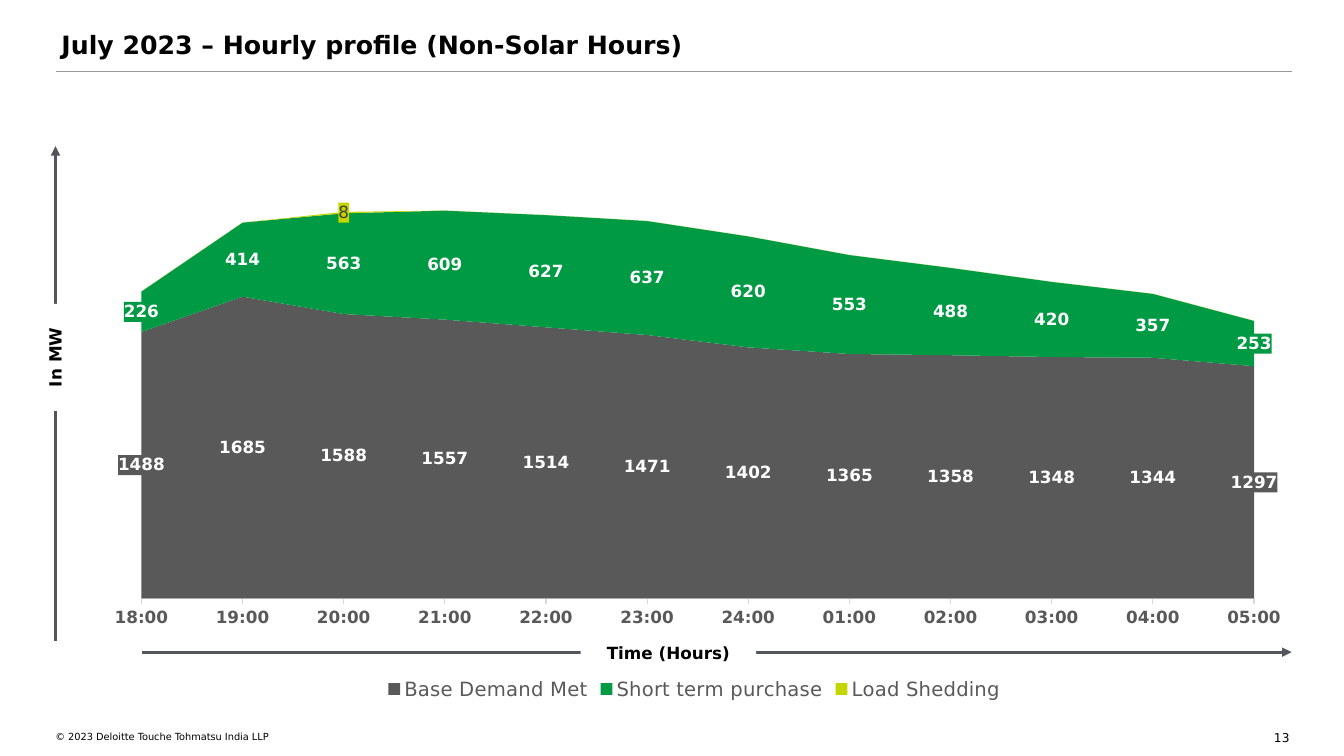
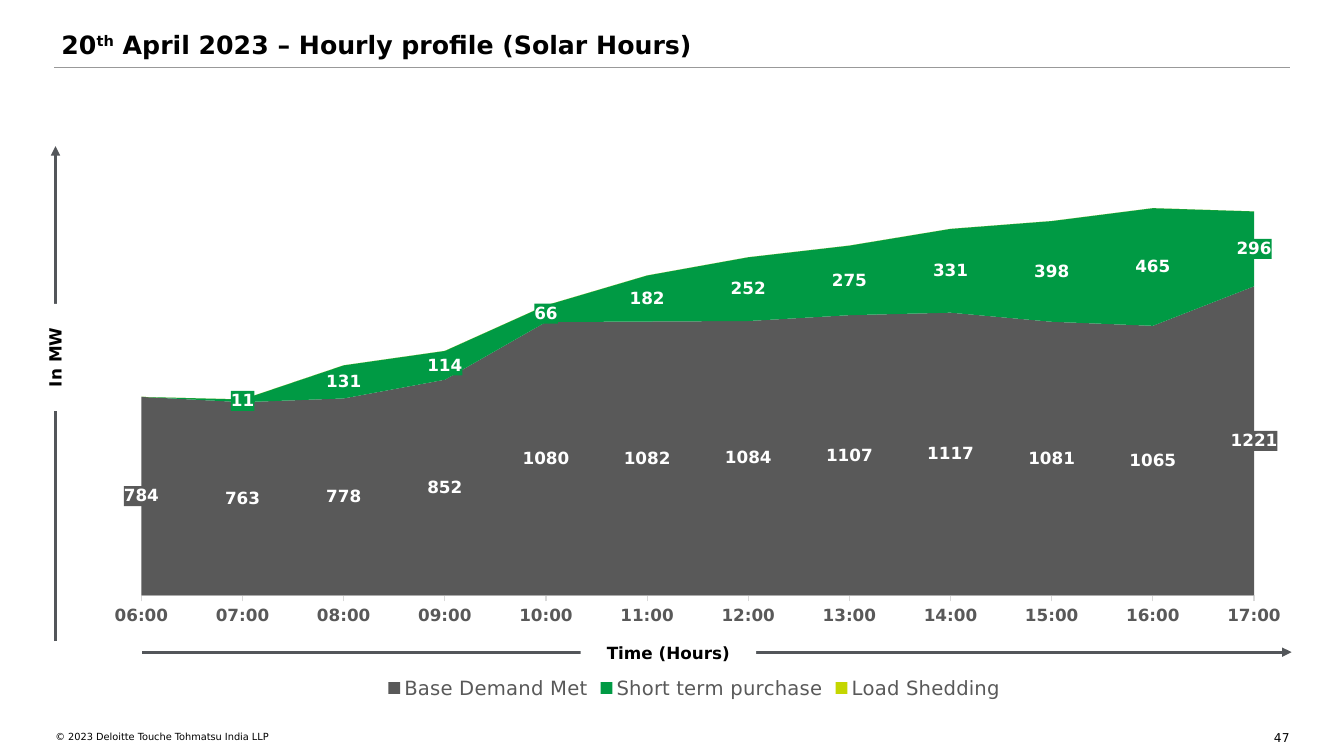
from lxml import etree
from pptx import Presentation
from pptx.chart.data import CategoryChartData
from pptx.dml.color import RGBColor
from pptx.enum.chart import XL_CHART_TYPE, XL_LEGEND_POSITION, XL_TICK_MARK
from pptx.enum.shapes import MSO_CONNECTOR, MSO_SHAPE
from pptx.enum.text import MSO_ANCHOR, PP_ALIGN
from pptx.oxml.ns import qn
from pptx.util import Inches, Pt

AREA = XL_CHART_TYPE.AREA_STACKED
BOTTOM = XL_LEGEND_POSITION.BOTTOM
OUT, NONE = XL_TICK_MARK.OUTSIDE, XL_TICK_MARK.NONE
STRAIGHT, RECT = MSO_CONNECTOR.STRAIGHT, MSO_SHAPE.RECTANGLE
LEFT, CENTER, RIGHT = PP_ALIGN.LEFT, PP_ALIGN.CENTER, PP_ALIGN.RIGHT
TOP, MIDDLE = MSO_ANCHOR.TOP, MSO_ANCHOR.MIDDLE

FONT = "DejaVu Sans"
COLORS = {
    "text": "000000", "white": "FFFFFF", "rule": "999999", "arrow": "53565A",
    "axis": "D9D9D9", "base": "595959", "short": "009A44", "shed": "C4D600",
    "dark": "404040",
}
FOOTER = "© 2023 Deloitte Touche Tohmatsu India LLP"
# name, fill, label colour, label bold
SERIES = [
    ("Base Demand Met", "base", "white", True),
    ("Short term purchase", "short", "white", True),
    ("Load Shedding", "shed", "dark", False),
]
PLOT = {"x": 0.035, "y": 0.098, "w": 0.936, "h": 0.729}
# title runs: text, superscript; rule: left, top; chart: top, height
SLIDES = [
    {
        "title": [("July 2023 – Hourly profile (Non-Solar Hours)", False)],
        "page": "13", "rule": (0.56, 0.71), "chart": (0.9, 6.09), "max": 2500,
        "hours": ["18:00", "19:00", "20:00", "21:00", "22:00", "23:00",
                  "24:00", "01:00", "02:00", "03:00", "04:00", "05:00"],
        "values": [
            [1488, 1685, 1588, 1557, 1514, 1471, 1402, 1365, 1358, 1348, 1344, 1297],
            [226, 414, 563, 609, 627, 637, 620, 553, 488, 420, 357, 253],
            [0, 0, 8, 0, 0, 0, 0, 0, 0, 0, 0, 0],
        ],
    },
    {
        "title": [("20", False), ("th", True),
                  (" April 2023 – Hourly profile (Solar Hours)", False)],
        "page": "47", "rule": (0.54, 0.67), "chart": (0.78, 6.2), "max": 1800,
        "hours": [f"{hour:02}:00" for hour in range(6, 18)],
        "values": [
            [784, 763, 778, 852, 1080, 1082, 1084, 1107, 1117, 1081, 1065, 1221],
            [0, 11, 131, 114, 66, 182, 252, 275, 331, 398, 465, 296],
            [0] * 12,
        ],
    },
]


def rgb(name):
    return RGBColor.from_string(COLORS[name])


def style(font, size, color="text", bold=False):
    font.name, font.size, font.bold = FONT, Pt(size), bold
    font.color.rgb = rgb(color)


def add_text(slide, box, runs, size, bold=False, align=LEFT):
    shape = slide.shapes.add_textbox(*map(Inches, box))
    frame = shape.text_frame
    frame.word_wrap = True
    frame.vertical_anchor = TOP
    frame.margin_left = frame.margin_right = 0
    frame.margin_top = frame.margin_bottom = 0
    para = frame.paragraphs[0]
    para.alignment = align
    for text, raised in runs:
        run = para.add_run()
        run.text = text
        style(run.font, size, bold=bold)
        if raised:
            run._r.get_or_add_rPr().set("baseline", "30000")


def add_line(slide, start, end, color, width, arrow=False):
    line = slide.shapes.add_connector(STRAIGHT, *map(Inches, start + end))
    line.line.color.rgb = rgb(color)
    line.line.width = Pt(width)
    if arrow:
        etree.SubElement(line.line._get_or_add_ln(), qn("a:tailEnd"), type="triangle")
    etree.SubElement(line._element.spPr, qn("a:effectLst"))


def add_label(slide, box, text, turn=0):
    """Axis name on a white box that breaks the arrow behind it."""
    shape = slide.shapes.add_shape(RECT, *map(Inches, box))
    shape.rotation = turn
    shape.shadow.inherit = False
    shape.fill.solid()
    shape.fill.fore_color.rgb = rgb("white")
    shape.line.fill.background()
    frame = shape.text_frame
    frame.word_wrap = True
    frame.vertical_anchor = MIDDLE
    frame.margin_left = frame.margin_right = Inches(0.1)
    frame.margin_top = frame.margin_bottom = Inches(0.1)
    para = frame.paragraphs[0]
    para.text = text
    para.alignment = CENTER
    para.line_spacing = 1.06
    style(para.runs[0].font, 12, bold=True)


def place_plot(chart):
    area = chart._chartSpace.chart.plotArea
    for old in area.findall(qn("c:layout")):
        area.remove(old)
    layout = etree.Element(qn("c:layout"))
    area.insert(0, layout)
    manual = etree.SubElement(layout, qn("c:manualLayout"))
    parts = [("layoutTarget", "inner"), ("xMode", "edge"), ("yMode", "edge")]
    for tag, val in parts + list(PLOT.items()):
        etree.SubElement(manual, qn(f"c:{tag}"), val=str(val))


def label_series(series, values, fill, color, bold):
    """Values on a box in the series colour; zeros get no label."""
    labels = series.data_labels
    labels.show_value = True
    labels.number_format = "0"
    labels.number_format_is_linked = False
    style(labels.font, 12, color, bold)
    root = labels._element
    box = etree.Element(qn("c:spPr"))
    solid = etree.SubElement(box, qn("a:solidFill"))
    etree.SubElement(solid, qn("a:srgbClr"), val=COLORS[fill])
    root.find(qn("c:txPr")).addprevious(box)
    zeros = [i for i, val in enumerate(values) if val == 0]
    for spot, idx in enumerate(zeros):
        item = etree.Element(qn("c:dLbl"))
        etree.SubElement(item, qn("c:idx"), val=str(idx))
        etree.SubElement(item, qn("c:delete"), val="1")
        root.insert(spot, item)


def add_profile(slide, data):
    """Stacked area chart of the hourly demand."""
    table = CategoryChartData(number_format="0")
    table.categories = data["hours"]
    for (name, *_), values in zip(SERIES, data["values"]):
        table.add_series(name, values)
    top, height = data["chart"]
    box = map(Inches, (0.99, top, 11.79, height))
    chart = slide.shapes.add_chart(AREA, *box, table).chart
    chart.has_title = False
    style(chart.font, 10)
    chart.has_legend = True
    chart.legend.position = BOTTOM
    chart.legend.include_in_layout = False
    style(chart.legend.font, 14, "base")

    hours = chart.category_axis
    hours.has_major_gridlines = False
    hours.major_tick_mark, hours.minor_tick_mark = OUT, NONE
    hours.format.line.color.rgb = rgb("axis")
    hours.format.line.width = Pt(0.75)
    style(hours.tick_labels.font, 12, "base", True)
    power = chart.value_axis
    power.minimum_scale, power.maximum_scale = 0, data["max"]
    power.has_major_gridlines = False
    power.visible = False

    plot = chart.plots[0]
    plot.vary_by_categories = False
    for series, look, values in zip(plot.series, SERIES, data["values"]):
        _, fill, color, bold = look
        series.format.fill.solid()
        series.format.fill.fore_color.rgb = rgb(fill)
        series.format.line.fill.background()
        label_series(series, values, fill, color, bold)
    place_plot(chart)


def add_slide(deck, data):
    slide = deck.slides.add_slide(deck.slide_layouts[6])
    add_text(slide, (0.55, 7.25, 5.86, 0.22), [(FOOTER, False)], 7)
    add_text(slide, (12.45, 7.25, 0.34, 0.11), [(data["page"], False)], 8.7, align=RIGHT)
    add_text(slide, (0.61, 0.29, 12.21, 0.38), data["title"], 18, bold=True)
    left, top = data["rule"]
    add_line(slide, (left, top), (left + 12.25, top), "rule", 0.75)
    add_line(slide, (1.41, 6.47), (12.81, 6.47), "arrow", 2.25, arrow=True)
    add_label(slide, (5.76, 6.34, 1.74, 0.26), "Time (Hours)")
    add_line(slide, (0.55, 6.36), (0.55, 1.45), "arrow", 2.25, arrow=True)
    add_label(slide, (0.01, 3.34, 1.06, 0.41), "In MW", turn=270)
    add_profile(slide, data)


def main():
    deck = Presentation()
    deck.slide_width, deck.slide_height = Inches(13.33), Inches(7.5)
    for data in SLIDES:
        add_slide(deck, data)
    deck.save("out.pptx")


if __name__ == "__main__":
    main()
